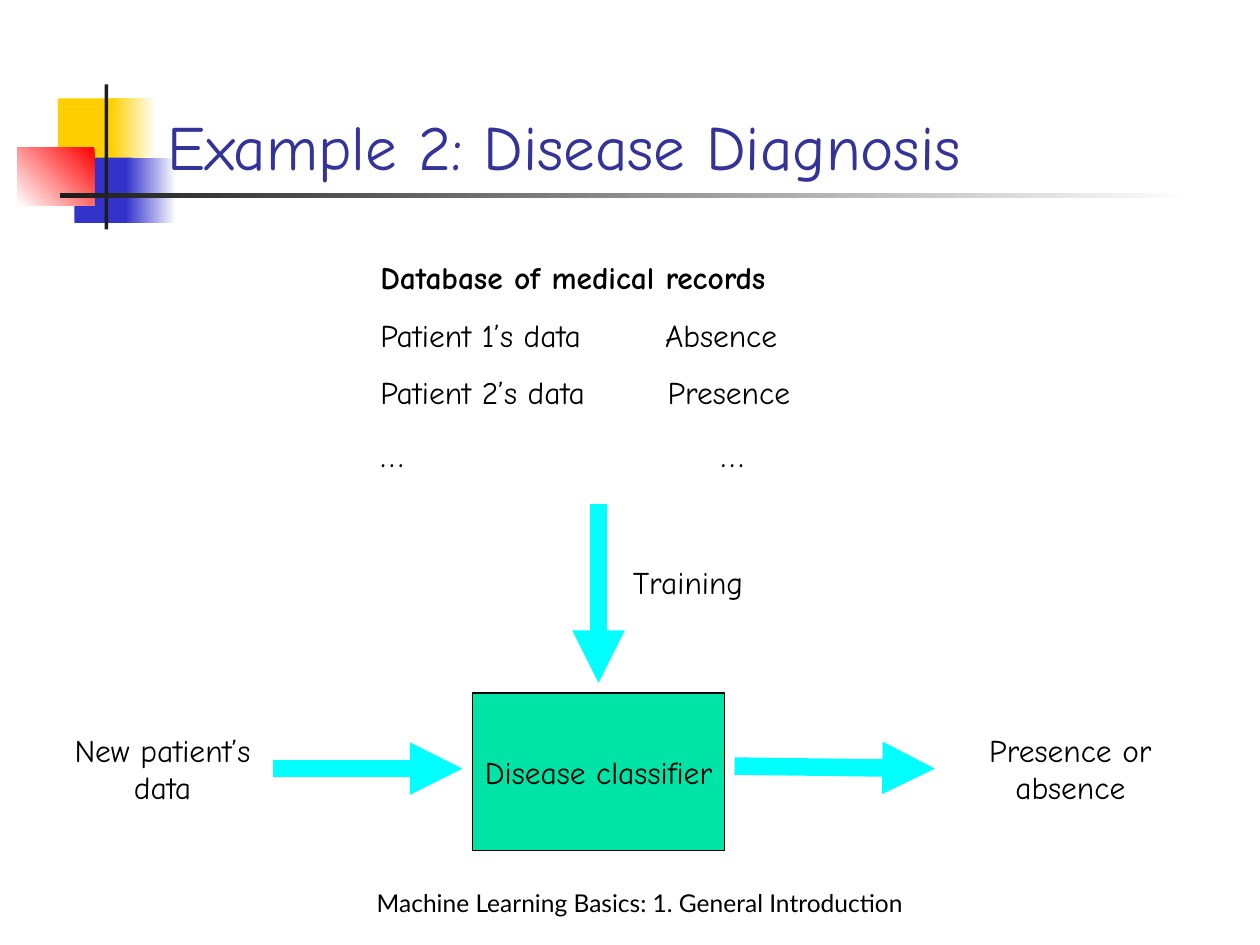
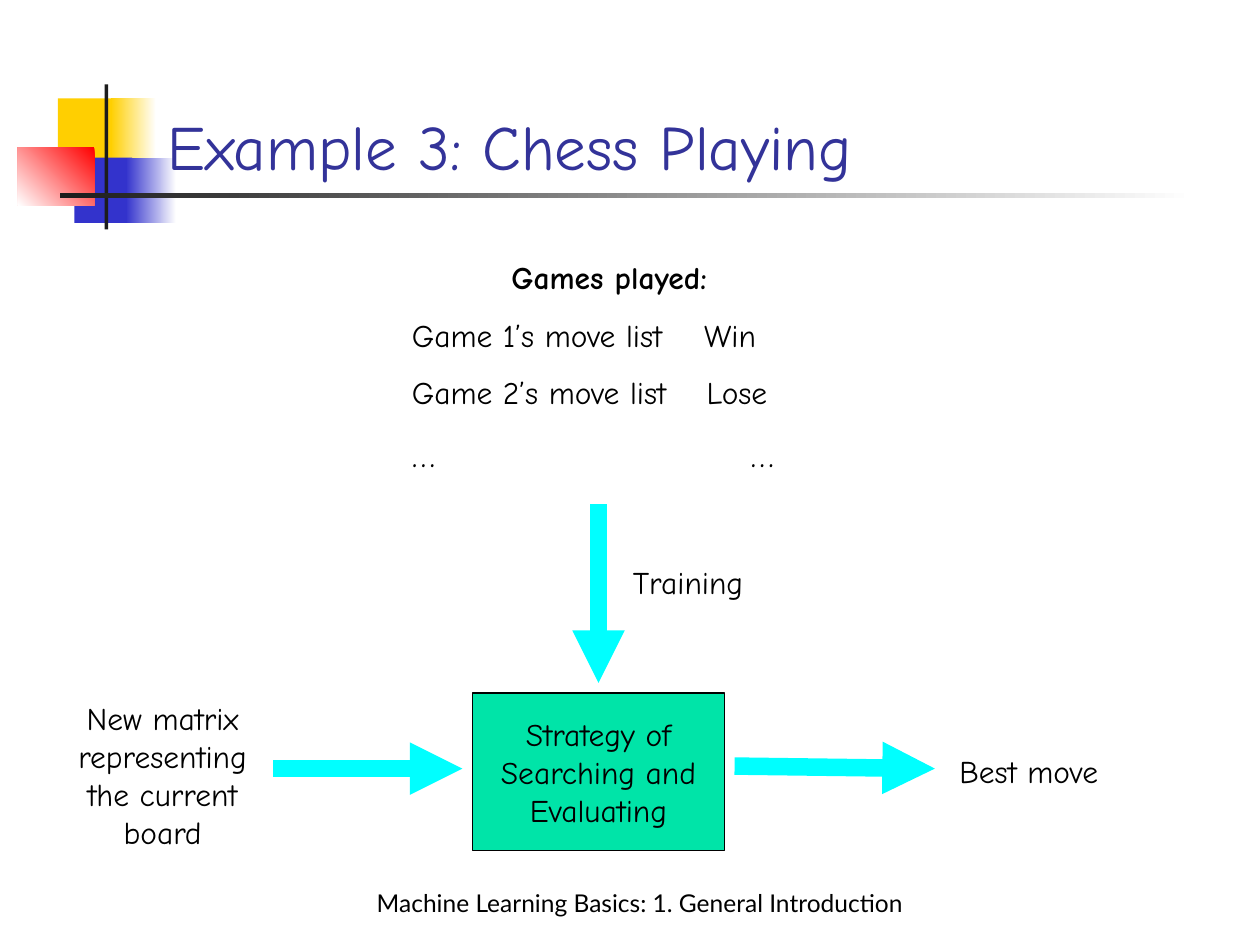
from lxml.etree import SubElement
from pptx import Presentation
from pptx.dml.color import RGBColor
from pptx.enum.shapes import MSO_CONNECTOR, MSO_SHAPE
from pptx.enum.text import MSO_ANCHOR, PP_ALIGN
from pptx.oxml.ns import qn
from pptx.util import Inches, Pt

COLOURS = {
    "title": "333399", "text": "000000", "arrow": "00FFFF", "model": "00E4A8",
    "yellow": "FFCF01", "blue": "3333CC", "red": "FF0000",
    "dark": "1C1C1C", "white": "FFFFFF",
}
BODY_FONT, FOOTER_FONT = "Comic Neue", "Lato"
FOOTER = "Machine Learning Basics: 1. General Introduction"

# Corner decoration: place, colour or (start, end) gradient, gradient angle
DECORATION = [
    ((0.46, 0.78, 0.48, 0.52), "yellow", None),
    ((0.88, 0.78, 0.36, 0.52), ("white", "yellow"), 180),
    ((0.59, 1.25, 0.46, 0.52), "blue", None),
    ((1, 1.25, 0.4, 0.52), ("white", "blue"), 180),
    ((0.14, 1.17, 0.61, 0.46), ("red", "white"), 225),
    ((0.83, 0.67, 0.03, 1.15), "dark", None),
    ((0.48, 1.53, 9, 0.04), ("white", "dark"), 180),
]
ARROWS = [
    ((2.17, 6.1), (3.67, 6.1)),
    ((4.75, 4), (4.75, 5.42)),
    ((5.83, 6.08), (7.42, 6.1)),
]

# Each record row: left text, right text, tab stop in inches
EXAMPLES = [
    {
        "title": "Example 2: Disease Diagnosis",
        "records_at": (2.92, 2, 3.75, 1.82),
        "heading": "Database of medical records",
        "heading_align": PP_ALIGN.LEFT,
        "rows": [("Patient 1’s data", "Absence", 2.26),
                 ("Patient 2’s data", "Presence", 2.28),
                 ("…", "…", 2.7)],
        "input": ("New patient’s data", (0.33, 5.75, 1.92, 0.7)),
        "model": "Disease classifier",
        "output": ("Presence or absence", (7.58, 5.75, 1.83, 0.7)),
    },
    {
        "title": "Example 3: Chess Playing",
        "records_at": (3.17, 2, 3.33, 1.82),
        "heading": "Games played:",
        "heading_align": PP_ALIGN.CENTER,
        "rows": [("Game 1’s move list", "Win", 2.32),
                 ("Game 2’s move list", "Lose", 2.34),
                 ("…", "…", 2.69)],
        "input": ("New matrix representing the current board",
                  (0.33, 5.5, 1.92, 1.3)),
        "model": "Strategy of Searching and Evaluating",
        "output": ("Best move", (7.25, 5.92, 1.83, 0.4)),
    },
]


def colour(name):
    return RGBColor.from_string(COLOURS[name])


def add_rectangle(page, place, fill, angle=None):
    shape = page.shapes.add_shape(MSO_SHAPE.RECTANGLE, *map(Inches, place))
    shape.shadow.inherit = False
    shape.line.fill.background()
    if angle is None:
        shape.fill.solid()
        shape.fill.fore_color.rgb = colour(fill)
    else:
        shape.fill.gradient()
        shape.fill.gradient_angle = angle
        for stop, name in zip(shape.fill.gradient_stops, fill):
            stop.color.rgb = colour(name)
    return shape


def add_span(paragraph, text, size=18, font=BODY_FONT, ink="text", bold=False):
    span = paragraph.add_run()
    span.text = text
    span.font.size = Pt(size)
    span.font.name = font
    span.font.bold = bold
    span.font.color.rgb = colour(ink)


def add_box(page, place, anchor=MSO_ANCHOR.TOP):
    box = page.shapes.add_textbox(*map(Inches, place))
    box.text_frame.word_wrap = True
    box.text_frame.vertical_anchor = anchor
    return box.text_frame


def add_label(page, text, place, align=PP_ALIGN.CENTER,
              anchor=MSO_ANCHOR.TOP, **style):
    paragraph = add_box(page, place, anchor).paragraphs[0]
    paragraph.alignment = align
    add_span(paragraph, text, **style)


def add_records(page, example):
    frame = add_box(page, example["records_at"])
    heading = frame.paragraphs[0]
    heading.alignment = example["heading_align"]
    add_span(heading, example["heading"], bold=True)
    for left, right, stop in example["rows"]:
        size = 20 if left == "…" else 18
        paragraph = frame.add_paragraph()
        paragraph.space_before = Pt(size * 0.625)
        tabs = SubElement(paragraph._p.get_or_add_pPr(), qn("a:tabLst"))
        SubElement(tabs, qn("a:tab"), pos=str(Inches(stop)), algn="l")
        add_span(paragraph, f"{left}\t{right}", size)


def add_model(page, text):
    shape = add_rectangle(page, (3.75, 5.5, 2, 1.25), "model")
    shape.line.color.rgb = colour("text")
    shape.line.width = Pt(0.75)
    shape.text_frame.word_wrap = True
    shape.text_frame.vertical_anchor = MSO_ANCHOR.MIDDLE
    paragraph = shape.text_frame.paragraphs[0]
    paragraph.alignment = PP_ALIGN.CENTER
    add_span(paragraph, text)


def add_arrow(page, start, end):
    arrow = page.shapes.add_connector(
        MSO_CONNECTOR.STRAIGHT, *map(Inches, start + end))
    arrow.line.color.rgb = colour("arrow")
    arrow.line.width = Pt(10)
    SubElement(arrow.line._get_or_add_ln(), qn("a:tailEnd"), type="triangle")
    SubElement(arrow._element.spPr, qn("a:effectLst"))


def add_page(deck, title):
    page = deck.slides.add_slide(deck.slide_layouts[6])
    for place, fill, angle in DECORATION:
        add_rectangle(page, place, fill, angle)
    add_label(page, title, (1.23, 0.5, 8.52, 1), PP_ALIGN.LEFT,
              MSO_ANCHOR.BOTTOM, size=36, ink="title")
    add_label(page, FOOTER, (0.83, 6.83, 8.5, 0.5),
              anchor=MSO_ANCHOR.BOTTOM, size=14, font=FOOTER_FONT)
    return page


def main():
    deck = Presentation()
    deck.slide_width, deck.slide_height = Inches(10), Inches(7.5)
    for example in EXAMPLES:
        page = add_page(deck, example["title"])
        # Training data above, then input, model and output in a row
        add_records(page, example)
        add_model(page, example["model"])
        for start, end in ARROWS:
            add_arrow(page, start, end)
        add_label(page, "Training", (4.5, 4.42, 1.92, 0.4))
        add_label(page, *example["input"])
        add_label(page, *example["output"])
    deck.save("out.pptx")


if __name__ == "__main__":
    main()
